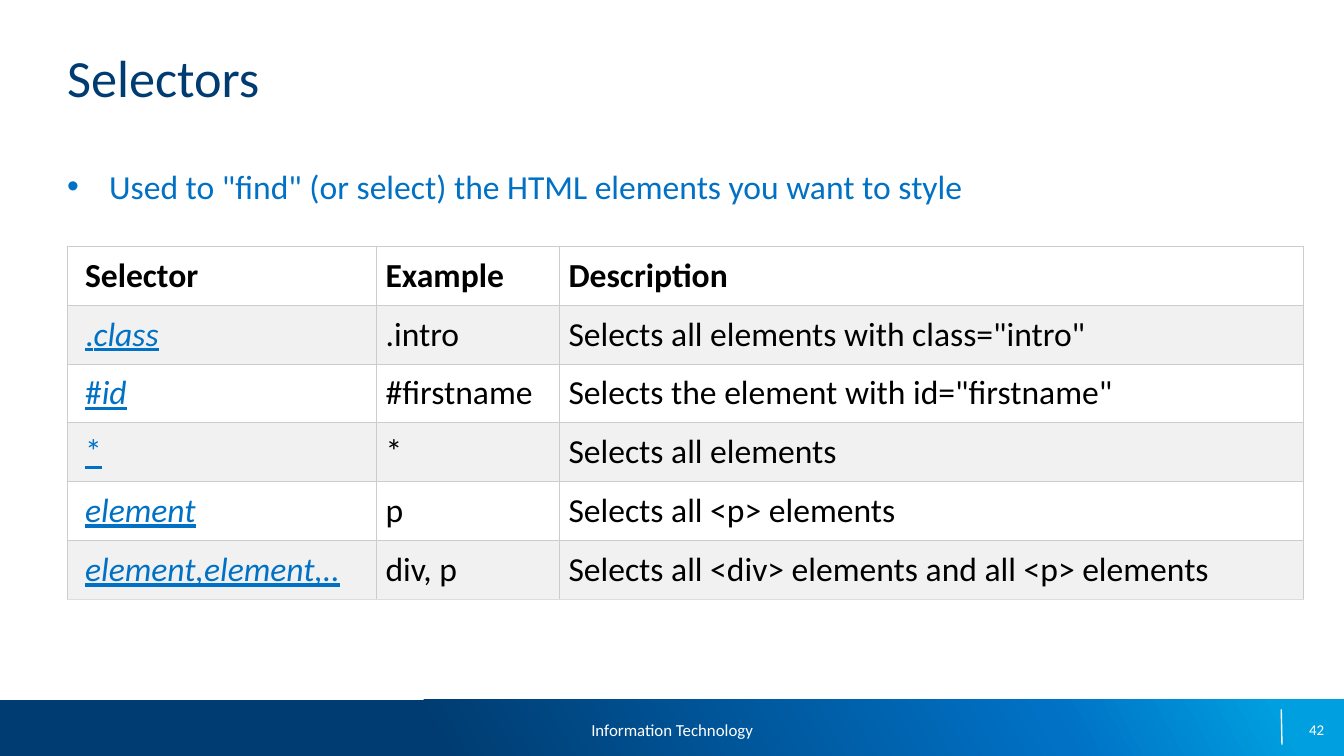
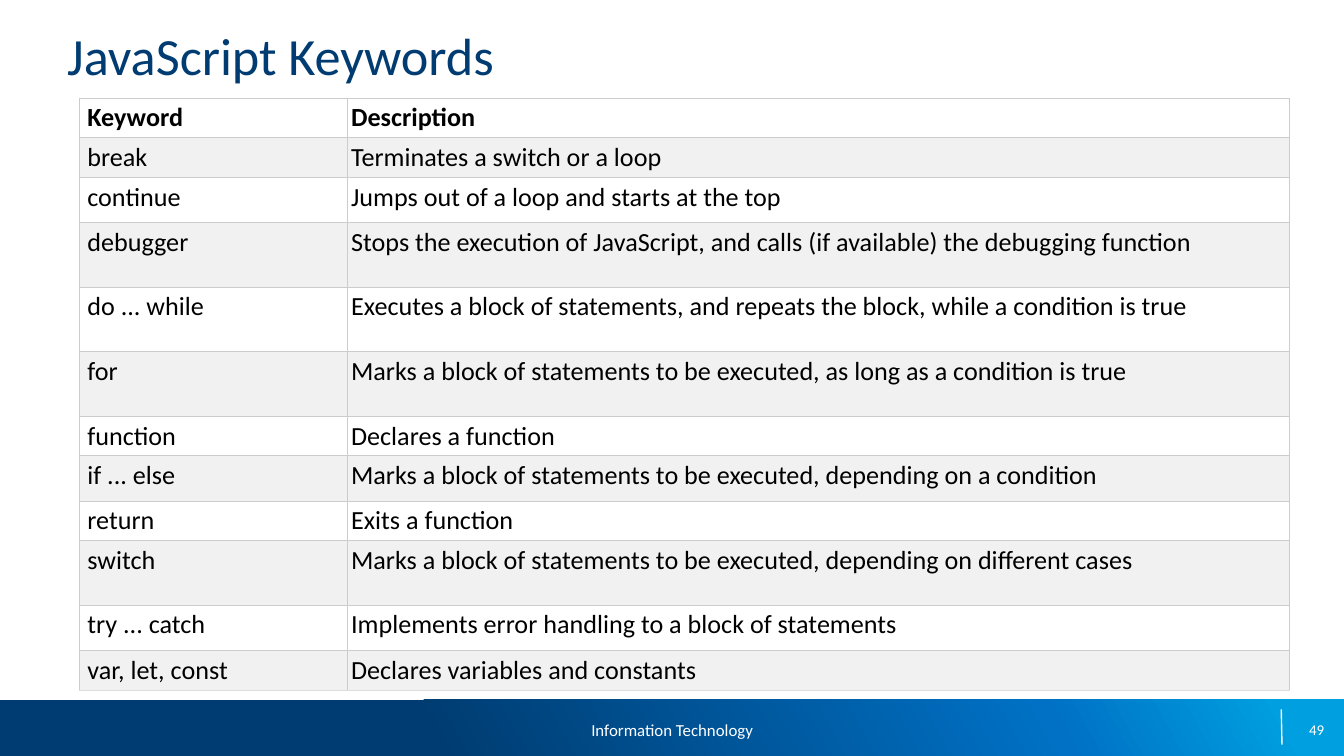
from lxml.etree import SubElement
from pptx import Presentation
from pptx.dml.color import RGBColor
from pptx.enum.shapes import MSO_CONNECTOR as Connector, MSO_SHAPE as Shape
from pptx.enum.text import MSO_ANCHOR as Anchor, PP_ALIGN as Align
from pptx.oxml import parse_xml
from pptx.oxml.ns import nsdecls, qn
from pptx.util import Pt

# Content
FOOTER = "Information Technology"
SELECTORS = {
    "title": "Selectors",
    "title_top": 24.5,
    "number": "42",
    "bullet": 'Used to "find" (or select) the HTML elements you want to style',
    "header": ("Selector", "Example", "Description"),
    # A linked name is a pair: upright prefix, italic name
    "rows": [
        ((".", "class"), ".intro", 'Selects all elements with class="intro"'),
        (("#", "id"), "#firstname", 'Selects the element with id="firstname"'),
        (("*", ""), "*", "Selects all elements"),
        (("", "element"), "p", "Selects all <p> elements"),
        (("", "element,element,.."), "div, p",
         "Selects all <div> elements and all <p> elements"),
    ],
    "table": {"left": 36, "top": 132, "widths": (165.8, 98, 398.7),
              "heights": [31.5] * 6, "size": 18, "inset": 4.8, "first_inset": 9.6},
}
SHORT, MEDIUM, TALL = 21.2, 24.3, 34.6
KEYWORDS = {
    "title": "JavaScript Keywords",
    "title_top": 12.5,
    "number": "49",
    "header": ("Keyword", "Description"),
    "rows": [
        ("break", "Terminates a switch or a loop"),
        ("continue", "Jumps out of a loop and starts at the top"),
        ("debugger", "Stops the execution of JavaScript, and calls "
                     "(if available) the debugging function"),
        ("do ... while", "Executes a block of statements, and repeats the block, "
                         "while a condition is true"),
        ("for", "Marks a block of statements to be executed, "
                "as long as a condition is true"),
        ("function", "Declares a function"),
        ("if ... else", "Marks a block of statements to be executed, "
                        "depending on a condition"),
        ("return", "Exits a function"),
        ("switch", "Marks a block of statements to be executed, "
                   "depending on different cases"),
        ("try ... catch", "Implements error handling to a block of statements"),
        ("var, let, const", "Declares variables and constants"),
    ],
    "table": {"left": 42.6, "top": 52.6, "widths": (143.4, 504.8),
              "heights": [SHORT, SHORT, MEDIUM, TALL, TALL, TALL,
                          SHORT, MEDIUM, SHORT, TALL, MEDIUM, SHORT],
              "size": 14, "inset": 2.1, "first_inset": 4.2},
}

# Shared look
COLORS = {"navy": "003C71", "blue": "0071C5", "sky": "009FDF", "white": "FFFFFF",
          "black": "000000", "stripe": "F1F1F1", "border": "CCCCCC", "last": "DDDDDD"}
FONT = "Calibri"
BAND_STOPS = [(32, "navy"), (78, "blue"), (95, "sky")]
BAND_ANGLE = 331
WIDTH, HEIGHT, BAND_HEIGHT = 720, 405, 30
MARGIN, TEXT_WIDTH = 36, 648
BULLET_INDENT = 22.5
BORDER_WIDTH = 0.6


def rgb(name):
    return RGBColor.from_string(COLORS[name])


def set_all(target, values):
    for name, value in values.items():
        setattr(target, name, value)


def add_run(paragraph, text, size, color, **style):
    run = paragraph.add_run()
    run.text = text
    set_all(run.font, {"name": FONT, "size": Pt(size), **style})
    run.font.color.rgb = rgb(color)


def add_text(slide, box, text, size, color, align=Align.LEFT, anchor=Anchor.TOP):
    shape = slide.shapes.add_textbox(*map(Pt, box))
    set_all(shape.text_frame, {
        "word_wrap": True, "vertical_anchor": anchor, "margin_left": 0,
        "margin_top": 0, "margin_right": 0, "margin_bottom": 0})
    paragraph = shape.text_frame.paragraphs[0]
    paragraph.alignment = align
    add_run(paragraph, text, size, color)
    return paragraph


def add_band(slide):
    band = slide.shapes.add_shape(
        Shape.RECTANGLE, 0, Pt(HEIGHT - BAND_HEIGHT), Pt(WIDTH), Pt(BAND_HEIGHT))
    band.shadow.inherit = False
    band.line.fill.background()
    stops = "".join(
        f'<a:gs pos="{position * 1000}"><a:srgbClr val="{COLORS[color]}"/></a:gs>'
        for position, color in BAND_STOPS)
    gradient = parse_xml(
        f'<a:gradFill {nsdecls("a")} rotWithShape="1"><a:gsLst>{stops}</a:gsLst>'
        f'<a:lin ang="{BAND_ANGLE * 60000}" scaled="0"/></a:gradFill>')
    band._element.spPr.find(qn("a:prstGeom")).addnext(gradient)


def add_frame(slide, content):
    """Footer band, divider, page number and title."""
    add_band(slide)
    divider = slide.shapes.add_connector(
        Connector.STRAIGHT, Pt(686.4), Pt(380), Pt(686.8), Pt(399))
    divider.line.color.rgb = rgb("white")
    divider.line.width = Pt(0.75)
    SubElement(divider._element.spPr, qn("a:effectLst"))
    add_text(slide, (274.5, 385.4, 171, 11), FOOTER, 9, "white", Align.CENTER)
    add_text(slide, (541.4, 380, 168, 22), content["number"], 8, "white",
             Align.RIGHT, Anchor.MIDDLE)
    add_text(slide, (MARGIN, content["title_top"], TEXT_WIDTH, 68),
             content["title"], 28, "navy")


def add_bullet(slide, text):
    paragraph = add_text(slide, (MARGIN, 89, TEXT_WIDTH, 40), text, 18, "blue")
    paragraph.space_before = Pt(12)
    properties = paragraph._p.get_or_add_pPr()
    properties.set("marL", str(Pt(BULLET_INDENT)))
    properties.set("indent", str(-Pt(BULLET_INDENT)))
    SubElement(properties, qn("a:buFont"), typeface="Arial")
    SubElement(properties, qn("a:buChar"), char="•")


def set_borders(cell, bottom):
    properties = cell._tc.get_or_add_tcPr()
    for side in ("L", "R", "T", "B"):
        line = SubElement(properties, qn(f"a:ln{side}"), w=str(Pt(BORDER_WIDTH)))
        fill = SubElement(line, qn("a:solidFill"))
        color = bottom if side == "B" else "border"
        SubElement(fill, qn("a:srgbClr"), val=COLORS[color])


def fill_cell(cell, value, size, bold):
    paragraph = cell.text_frame.paragraphs[0]
    if isinstance(value, str):
        add_run(paragraph, value, size, "black", bold=bold)
        return
    for text, italic in zip(value, (False, True)):
        if text:
            add_run(paragraph, text, size, "blue", italic=italic, underline=True)


def add_grid(slide, content):
    layout = content["table"]
    rows = [content["header"], *content["rows"]]
    widths, heights, inset = layout["widths"], layout["heights"], layout["inset"]
    table = slide.shapes.add_table(
        len(rows), len(widths), Pt(layout["left"]), Pt(layout["top"]),
        Pt(sum(widths)), Pt(sum(heights))).table
    set_all(table, {"first_row": False, "horz_banding": False})
    for column, width in zip(table.columns, widths):
        column.width = Pt(width)
    for row, height in zip(table.rows, heights):
        row.height = Pt(height)
    for r, values in enumerate(rows):
        for c, value in enumerate(values):
            cell = table.cell(r, c)
            left = inset if c else layout["first_inset"]
            set_all(cell, {"margin_left": Pt(left), "margin_top": Pt(inset),
                           "margin_right": Pt(inset), "margin_bottom": Pt(inset)})
            set_borders(cell, "last" if r == len(rows) - 1 else "border")
            cell.fill.solid()
            cell.fill.fore_color.rgb = rgb("stripe" if r % 2 else "white")
            fill_cell(cell, value, layout["size"], bold=r == 0)


def main():
    presentation = Presentation()
    set_all(presentation, {"slide_width": Pt(WIDTH), "slide_height": Pt(HEIGHT)})
    for content in (SELECTORS, KEYWORDS):
        slide = presentation.slides.add_slide(presentation.slide_layouts[6])
        add_frame(slide, content)
        if "bullet" in content:
            add_bullet(slide, content["bullet"])
        add_grid(slide, content)
    presentation.save("out.pptx")


if __name__ == "__main__":
    main()
